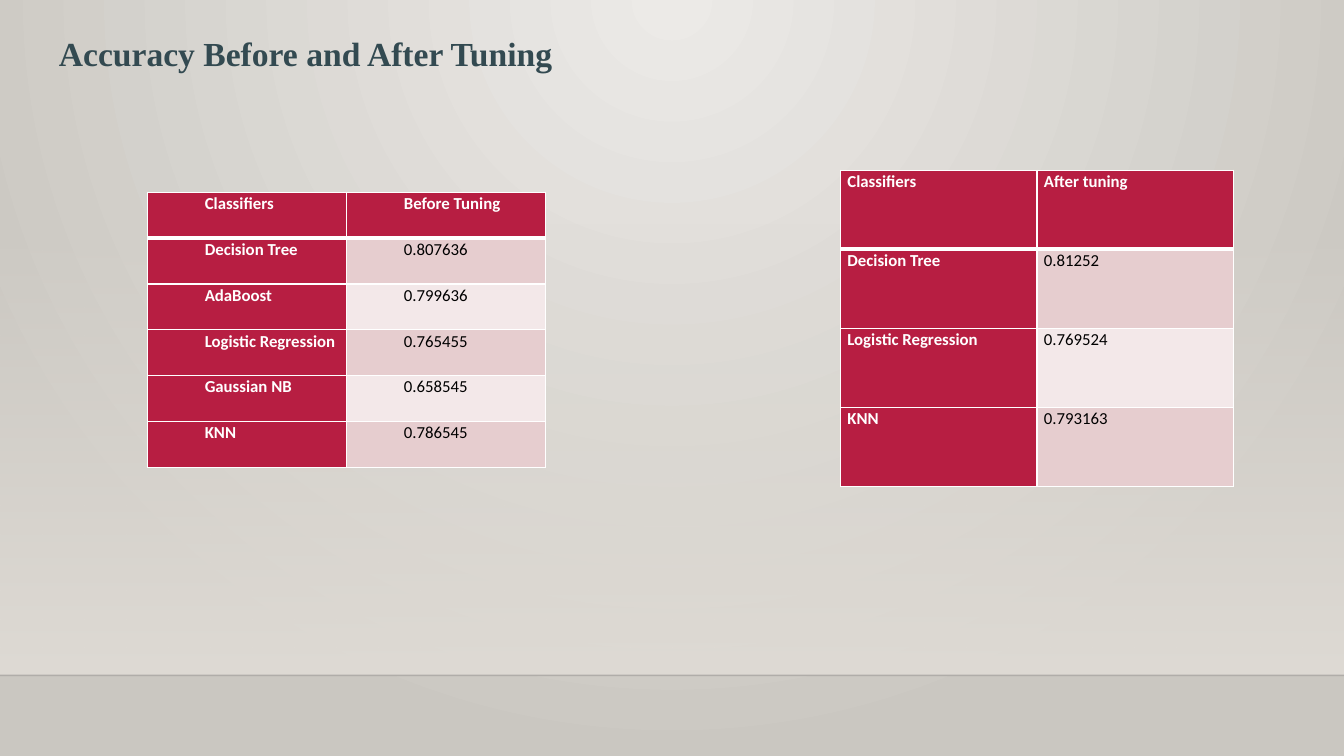
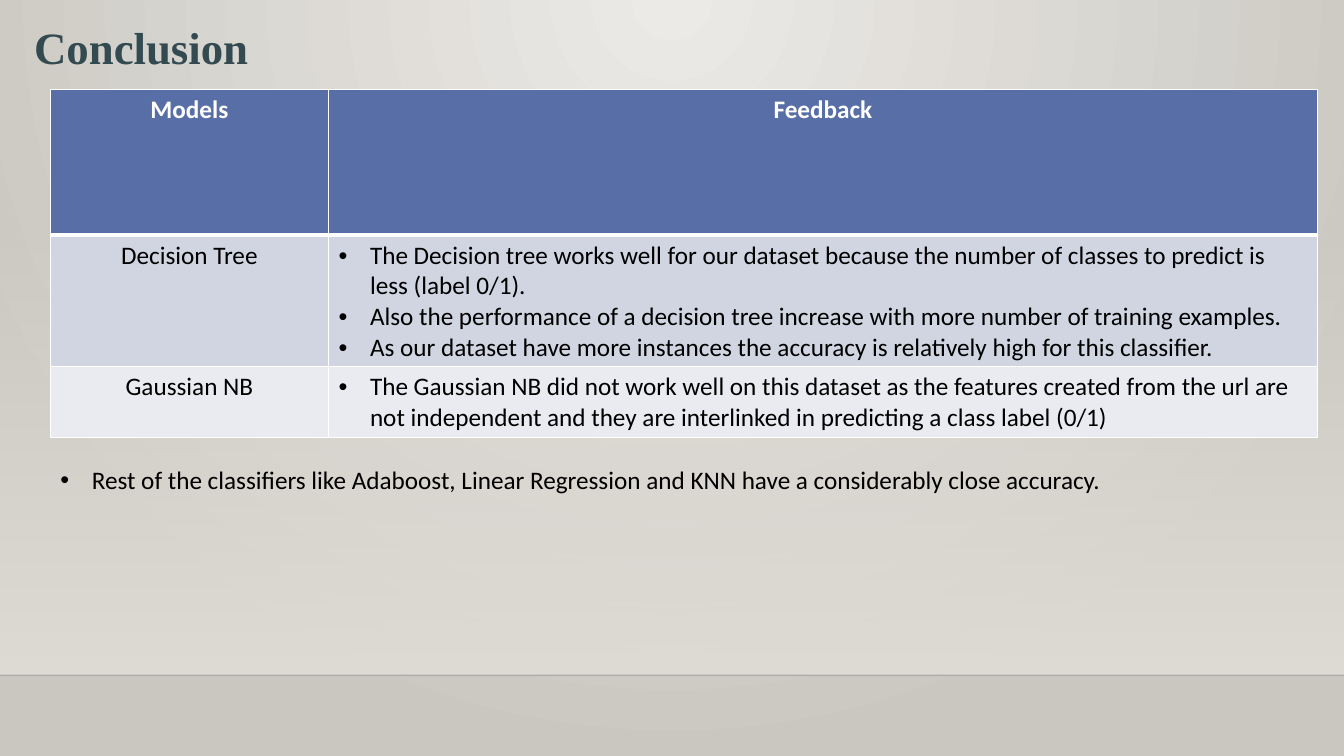
from lxml import etree
from pptx import Presentation
from pptx import util as u
from pptx.dml import color as c
from pptx.enum import shapes, text
from pptx.oxml import ns

WIDTH, HEIGHT = 960, 540
HORIZON = 482.4
BLACK, WHITE, SLATE = "000000", "FFFFFF", "334A51"
CRIMSON = {"header": "B71E42", "bands": ("E6CDCF", "F3E8E9")}
BLUE = {"header": "586EA6", "bands": ("D1D5E1", "EAEBF1")}
CENTER = text.PP_ALIGN.CENTER


def rgb(value):
    return c.RGBColor.from_string(value)


def add_xml(parent, tag, **attributes):
    return etree.SubElement(parent, ns.qn(tag), attributes)


def set_gradient(properties, stops, angle=None, focus=None):
    """Swap a solid fill for a gradient; stops are (percent, colour, alpha)."""
    solid = properties.find(ns.qn("a:solidFill"))
    gradient = etree.Element(ns.qn("a:gradFill"), rotWithShape="1")
    properties.replace(solid, gradient)
    stop_list = add_xml(gradient, "a:gsLst")
    for position, value, alpha in stops:
        stop = add_xml(stop_list, "a:gs", pos=str(position * 1000))
        tint = add_xml(stop, "a:srgbClr", val=value)
        add_xml(tint, "a:alpha", val=str(alpha * 1000))
    if focus:
        radial = add_xml(gradient, "a:path", path="circle")
        edges = {side: str(share * 1000) for side, share in zip("ltrb", focus)}
        add_xml(radial, "a:fillToRect", **edges)
    else:
        add_xml(gradient, "a:lin", ang=str(angle * 60000), scaled="0")


def set_borders(cell, **widths):
    """Give a cell white edges; widths are keyed L, R, T and B."""
    properties = cell._tc.get_or_add_tcPr()
    for index, side in enumerate("LRTB"):
        edge = etree.Element(ns.qn(f"a:ln{side}"), w=str(u.Pt(widths.get(side, 1))))
        fill = add_xml(edge, "a:solidFill")
        add_xml(fill, "a:srgbClr", val=WHITE)
        properties.insert(index, edge)


def write(frame, content, size=18, font="Calibri", color=BLACK, bold=False,
          align=None, spacing=None, indent=0, bullet=False):
    """Fill a text frame with one paragraph for each string."""
    lines = [content] if isinstance(content, str) else content
    for index, line in enumerate(lines):
        para = frame.paragraphs[0] if index == 0 else frame.add_paragraph()
        para.alignment = align
        if spacing:
            para.line_spacing = spacing
        properties = para._p.get_or_add_pPr()
        if indent:
            properties.set("marL", str(u.Pt(indent)))
        if bullet:
            properties.set("indent", str(-u.Pt(indent)))
            add_xml(properties, "a:buFont", typeface="Arial")
            add_xml(properties, "a:buChar", char="•")
        span = para.add_run()
        span.text = line
        span.font.size = u.Pt(size)
        span.font.name = font
        span.font.bold = bold
        span.font.color.rgb = rgb(color)


class Deck:
    """Holds the presentation, its shared style and the current slide."""

    def __init__(self):
        self.deck = Presentation()
        self.deck.slide_width = u.Pt(WIDTH)
        self.deck.slide_height = u.Pt(HEIGHT)
        self.page = None

    def add_page(self):
        self.page = self.deck.slides.add_slide(self.deck.slide_layouts[6])
        # Radial backdrop, lit from the top centre
        self.page.background.fill.solid()
        backdrop = self.page._element.find(".//" + ns.qn("p:bgPr"))
        set_gradient(backdrop, [(0, "ECEAE7", 100), (100, "CAC7C1", 100)],
                     focus=(43, 0, 43, 100))
        # Wall that fades in down to the horizon
        top = 159
        wall = self.page.shapes.add_shape(
            shapes.MSO_SHAPE.RECTANGLE, 0, u.Pt(top), u.Pt(WIDTH), u.Pt(HORIZON - top))
        wall.shadow.inherit = False
        wall.line.fill.background()
        wall.fill.solid()
        set_gradient(wall._element.spPr, [(0, "DFDBD5", 0), (100, "DFDBD5", 100)], angle=90)
        # Horizon line
        horizon = self.page.shapes.add_connector(
            shapes.MSO_CONNECTOR.STRAIGHT, 0, u.Pt(HORIZON), u.Pt(WIDTH), u.Pt(HORIZON))
        horizon.line.width = u.Pt(1)
        horizon.line.color.rgb = rgb("000001")
        tint = horizon._element.spPr.find(".//" + ns.qn("a:srgbClr"))
        add_xml(tint, "a:alpha", val="20000")
        add_xml(horizon._element.spPr, "a:effectLst")

    def add_text(self, content, left, top, width, height, **style):
        box = self.page.shapes.add_textbox(u.Pt(left), u.Pt(top), u.Pt(width), u.Pt(height))
        frame = box.text_frame
        frame.word_wrap = True
        frame.auto_size = text.MSO_AUTO_SIZE.SHAPE_TO_FIT_TEXT
        write(frame, content, **style)

    def add_title(self, content, left, top, width, height, size):
        self.add_text(content, left, top, width, height, size=size,
                      font="Times New Roman", color=SLATE, bold=True)

    def add_table(self, rows, left, top, widths, heights, palette, label, value,
                  heading, margins=None, solid_labels=False):
        """Draw a banded table; label, value and heading are text styles."""
        table = self.page.shapes.add_table(
            len(rows), len(widths), u.Pt(left), u.Pt(top),
            u.Pt(sum(widths)), u.Pt(sum(heights))).table
        for column, width in zip(table.columns, widths):
            column.width = u.Pt(width)
        for number, (row, height) in enumerate(zip(rows, heights)):
            table.rows[number].height = u.Pt(height)
            for position, content in enumerate(row):
                cell = table.cell(number, position)
                if margins:
                    cell.margin_left = cell.margin_right = u.Pt(margins[0])
                    cell.margin_top = cell.margin_bottom = u.Pt(margins[1])
                in_header = number == 0
                is_solid = in_header or (solid_labels and position == 0)
                cell.fill.solid()
                cell.fill.fore_color.rgb = rgb(
                    palette["header"] if is_solid else palette["bands"][(number - 1) % 2])
                set_borders(cell, T=3 if number == 1 else 1, B=3 if in_header else 1)
                style = heading if in_header else value if position else label
                write(cell.text_frame, content, **style)

    def add_score_table(self, rows, left, top, column_width, row_height, indent=0):
        value = {"size": 12, "spacing": 1.07, "indent": indent}
        strong = {**value, "color": WHITE, "bold": True}
        self.add_table(rows, left, top, [column_width] * 2, [row_height] * len(rows),
                       CRIMSON, label=strong, value=value, heading=strong,
                       margins=(5, 0), solid_labels=True)


def main():
    deck = Deck()

    # Accuracy tables
    deck.add_page()
    deck.add_title("Accuracy Before and After Tuning", 35, 20, 641, 36, size=24)
    deck.add_score_table([
        ("Classifiers", "After tuning"),
        ("Decision Tree", "0.81252"),
        ("Logistic Regression", "0.769524"),
        ("KNN", "0.793163"),
    ], 600.3, 121.6, column_width=140.4, row_height=56.5)
    deck.add_score_table([
        ("Classifiers", "Before Tuning"),
        ("Decision Tree", "0.807636"),
        ("AdaBoost", "0.799636"),
        ("Logistic Regression", "0.765455"),
        ("Gaussian NB", "0.658545"),
        ("KNN", "0.786545"),
    ], 105.3, 137.3, column_width=142.2, row_height=32.75, indent=36)

    # Conclusion
    deck.add_page()
    deck.add_title("Conclusion", 17.3, 10.2, 457, 46, size=32)
    bullets = {"indent": 22.5, "bullet": True}
    deck.add_table([
        ("Models", "Feedback"),
        ("Decision Tree", [
            "The Decision tree works well for our dataset because the number of classes "
            "to predict is less (label 0/1).",
            "Also the performance of a decision tree increase with more number of "
            "training examples.",
            "As our dataset have more instances the accuracy is relatively high for "
            "this classifier.",
        ]),
        ("Gaussian NB", [
            "The Gaussian NB did not work well on this dataset as the features created "
            "from the url are not independent and they are interlinked in predicting "
            "a class label (0/1)",
        ]),
    ], 36, 64, [198.6, 706.5], [104, 92, 51], BLUE, label={"align": CENTER},
        value=bullets, heading={"align": CENTER, "color": WHITE, "bold": True})
    deck.add_text("Rest of the classifiers like Adaboost, Linear Regression and KNN have "
                  "a considerably close accuracy.", 36, 328.3, 906.5, 51, **bullets)

    deck.deck.save("out.pptx")


if __name__ == "__main__":
    main()
